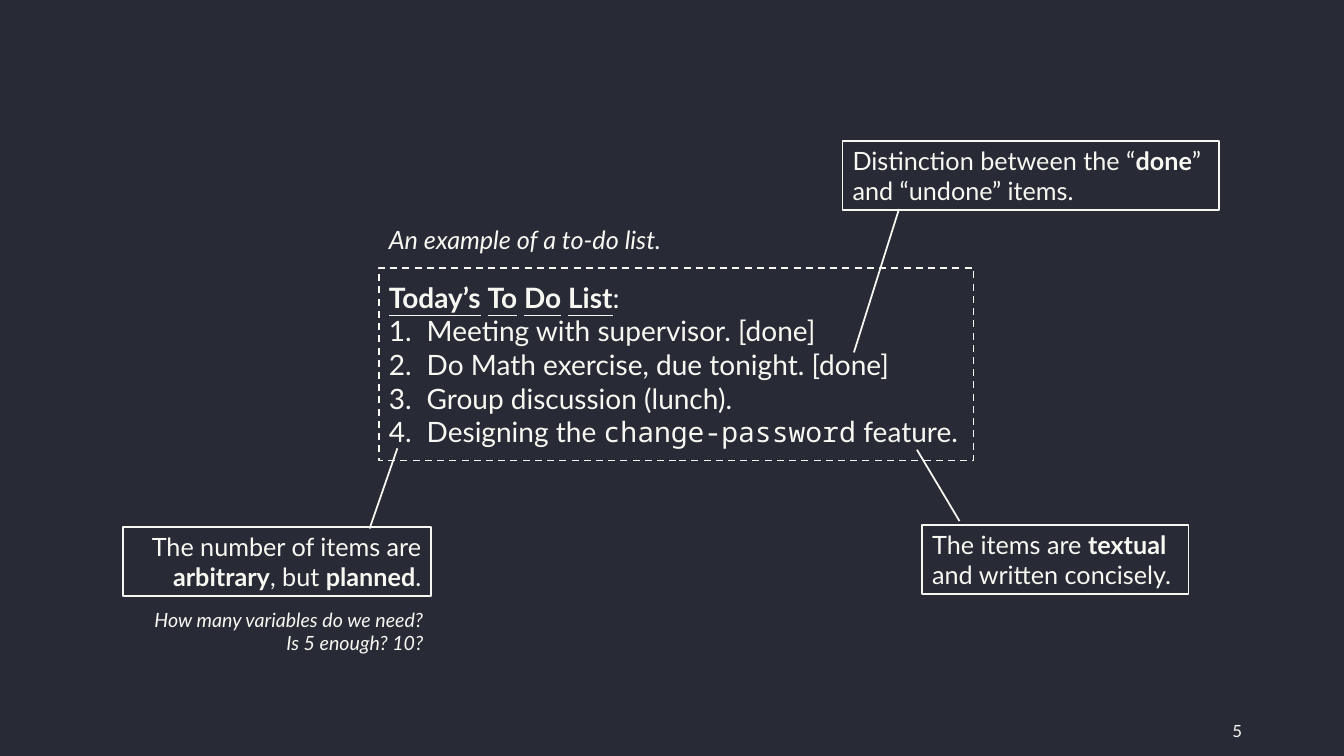
from dataclasses import dataclass

from lxml import etree
from pptx import Presentation, util as u
from pptx.dml.color import RGBColor
from pptx.enum import dml, shapes, text
from pptx.oxml.ns import qn

COLORS = {"background": "282A36", "foreground": "F8F8F2"}
BODY_FONT, CODE_FONT = "Lato", "Noto Sans Mono"
LIST_INDENT = 27
LEFT, RIGHT = text.PP_ALIGN.LEFT, text.PP_ALIGN.RIGHT
TOP, MIDDLE = text.MSO_ANCHOR.TOP, text.MSO_ANCHOR.MIDDLE
BOLD = {"bold": True}
HEADING = {"bold": True, "underline": True}
CODE = {"name": CODE_FONT}


@dataclass
class Run:
    text: str
    format: dict


@dataclass
class Paragraph:
    runs: list[Run]
    numbered: bool = False


@dataclass
class Box:
    left: float
    top: float
    width: float
    height: float
    size: float
    paragraphs: list[Paragraph]
    align: text.PP_ALIGN = LEFT
    anchor: text.MSO_ANCHOR = MIDDLE
    italic: bool = False
    wrap: bool = True
    outlined: bool = False
    pointer: tuple[float, ...] = ()  # start y, x and end y, x as shares of the box


def line(*parts: str | tuple[str, dict], numbered: bool = False) -> Paragraph:
    """Make a paragraph of plain strings and (string, format) pairs."""
    pairs = [(part, {}) if isinstance(part, str) else part for part in parts]
    return Paragraph([Run(*pair) for pair in pairs], numbered)


def color(name: str) -> RGBColor:
    return RGBColor.from_string(COLORS[name])


def apply_format(target: object, values: dict) -> None:
    for name, value in values.items():
        setattr(target, name, value)


def add_number(paragraph) -> None:
    properties = paragraph._p.get_or_add_pPr()
    properties.set("marL", str(u.Pt(LIST_INDENT)))
    properties.set("indent", str(-u.Pt(LIST_INDENT)))
    etree.SubElement(properties, qn("a:buFont"), typeface="+mj-lt")
    etree.SubElement(properties, qn("a:buAutoNum"), type="arabicPeriod")


def write_text(frame, box: Box) -> None:
    apply_format(frame, {"word_wrap": box.wrap, "vertical_anchor": box.anchor})
    if not box.wrap:
        frame.auto_size = text.MSO_AUTO_SIZE.SHAPE_TO_FIT_TEXT
    base = {"name": BODY_FONT, "size": u.Pt(box.size), "italic": box.italic}
    for index, content in enumerate(box.paragraphs):
        paragraph = frame.add_paragraph() if index else frame.paragraphs[0]
        paragraph.alignment = box.align
        if content.numbered:
            add_number(paragraph)
        for part in content.runs:
            run = paragraph.add_run()
            run.text = part.text
            apply_format(run.font, base | part.format)
            run.font.color.rgb = color("foreground")


def add_box(slide, box: Box) -> None:
    place = [u.Pt(value) for value in (box.left, box.top, box.width, box.height)]
    if box.outlined:
        kind = shapes.MSO_SHAPE.LINE_CALLOUT_1 if box.pointer else shapes.MSO_SHAPE.RECTANGLE
        shape = slide.shapes.add_shape(kind, *place)
        shape.shadow.inherit = False
        shape.fill.background()
        shape.line.color.rgb = color("foreground")
        shape.line.width = u.Pt(1.25)
        if not box.pointer:
            shape.line.dash_style = dml.MSO_LINE.DASH
        for index, value in enumerate(box.pointer):
            shape.adjustments[index] = value
    else:
        shape = slide.shapes.add_textbox(*place)
    write_text(shape.text_frame, box)


BOXES = [
    # Slide number
    Box(841, 507.6, 53.3, 28.8, 12, [line("5")], align=RIGHT),
    # To-do list and its caption
    Box(270.7, 191.5, 424.8, 137.5, 20, [
        line(("Today’s", HEADING), (" ", BOLD), ("To", HEADING), (" ", BOLD),
             ("Do", HEADING), (" ", BOLD), ("List", HEADING), ":"),
        line("Meeting with supervisor. [done]", numbered=True),
        line("Do Math exercise, due tonight. [done]", numbered=True),
        line("Group discussion (lunch).", numbered=True),
        line("Designing the ", ("change-password", CODE), " feature.", numbered=True),
    ], outlined=True),
    Box(270.7, 157, 221, 28.8, 18, [line("An example of a to-do list.")],
        anchor=TOP, italic=True, wrap=False),
    # Callouts
    Box(658.8, 375.1, 190.1, 49, 18,
        [line("The items are ", ("textual", BOLD), " and written concisely.")],
        outlined=True, pointer=(-0.06, 0.14, -1.1, -0.02)),
    Box(87.8, 376.6, 220.3, 49, 18,
        [line("The number of items are ", ("arbitrary", BOLD), ", but ",
              ("planned", BOLD), ".")],
        align=RIGHT, outlined=True, pointer=(0.02, 0.8, -1.15, 0.89)),
    Box(601.9, 100.8, 268.6, 49, 18,
        [line("Distinction between the “", ("done", BOLD), "” and “undone” items.")],
        outlined=True, pointer=(0.99, 0.15, 3.08, 0.03)),
    # Note under the left callout
    Box(90.7, 430.6, 218.9, 41, 14,
        [line("How many variables do we need?"), line("Is 5 enough? 10?")],
        align=RIGHT, anchor=TOP, italic=True, wrap=False),
]


def main() -> None:
    presentation = Presentation()
    apply_format(presentation, {"slide_width": u.Pt(960), "slide_height": u.Pt(540)})
    # Blank layout, as the slide has no title
    slide = presentation.slides.add_slide(presentation.slide_layouts[6])
    slide.background.fill.solid()
    slide.background.fill.fore_color.rgb = color("background")
    for box in BOXES:
        add_box(slide, box)
    presentation.save("out.pptx")


if __name__ == "__main__":
    main()
